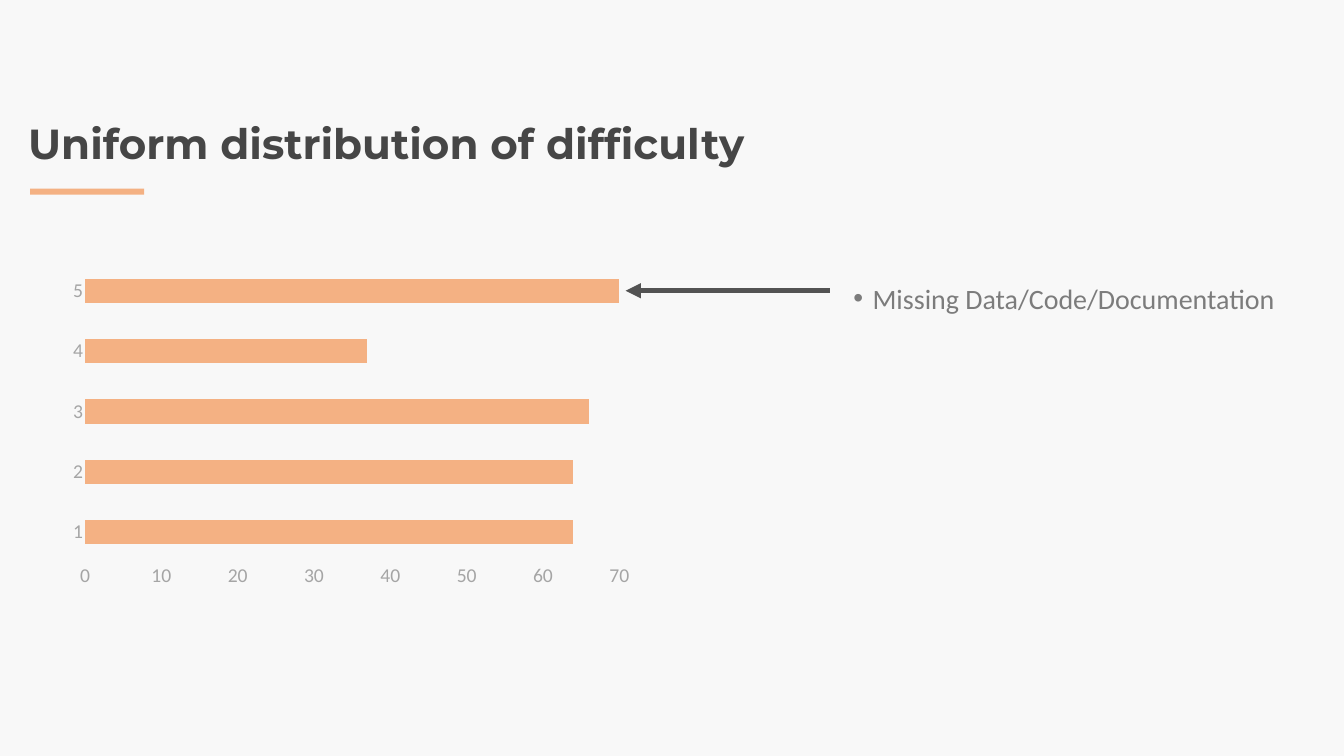
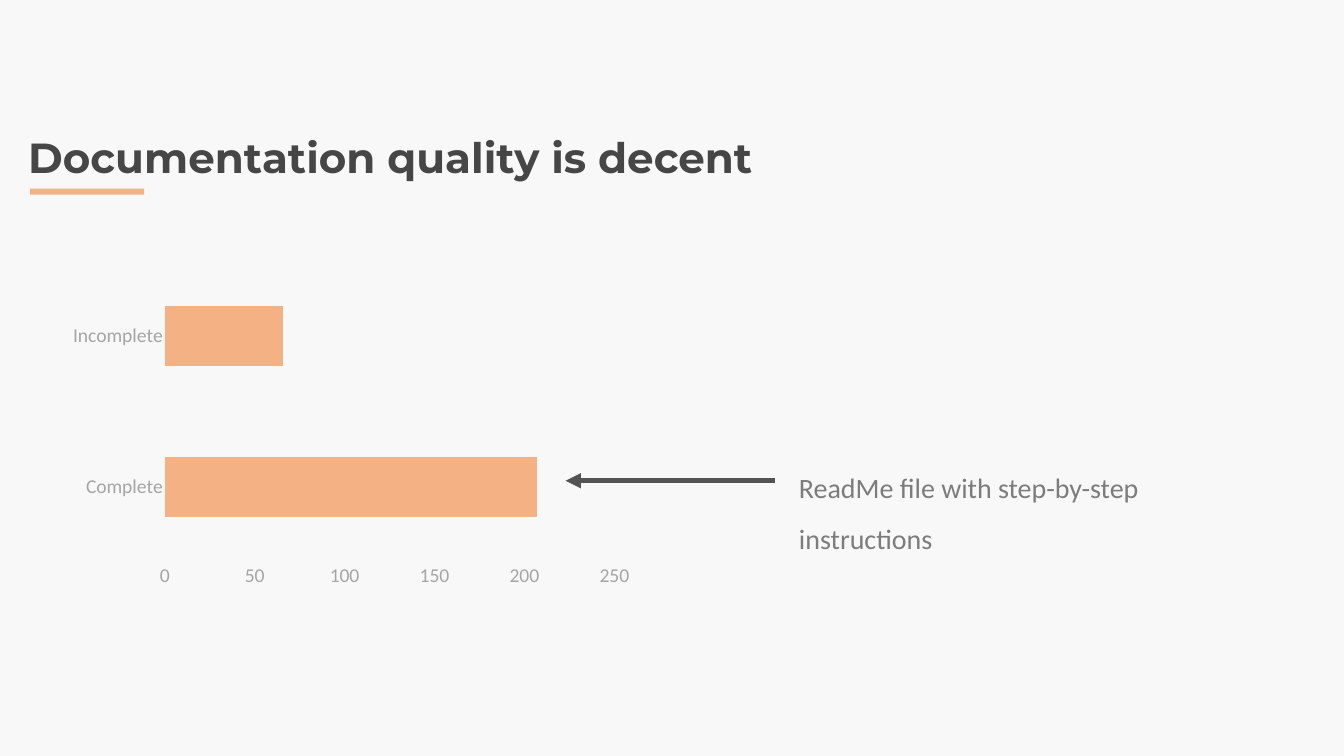
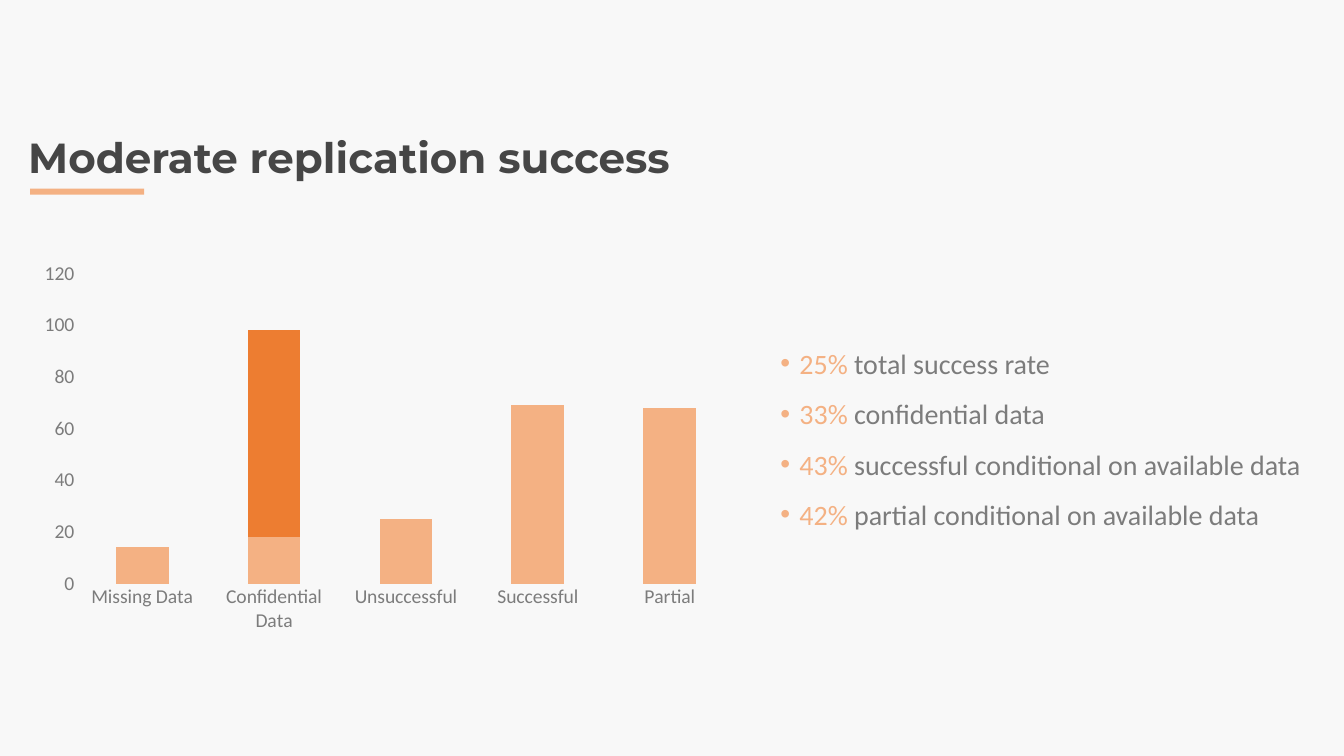
from lxml import etree
from pptx import Presentation
from pptx import util as u
from pptx.chart import data
from pptx.dml.color import RGBColor
from pptx.enum import chart as ch, shapes, text
from pptx.oxml import ns

PAPER = RGBColor(0xF8, 0xF8, 0xF8)
DARK = RGBColor(0x46, 0x46, 0x46)
ARROW = RGBColor(0x53, 0x53, 0x53)
GREY = RGBColor(0x7C, 0x7C, 0x7C)
PALE = RGBColor(0xA5, 0xA5, 0xA5)
PEACH = RGBColor(0xF4, 0xB1, 0x83)
ORANGE = RGBColor(0xED, 0x7D, 0x31)
HEAD, BODY = "Montserrat", "Calibri"
SCALE = 9144
BARS = ch.XL_CHART_TYPE.BAR_STACKED
COLS = ch.XL_CHART_TYPE.COLUMN_STACKED


def px(*sizes):
    return [u.Emu(size * SCALE) for size in sizes]


def child(parent, tag, **attrs):
    return etree.SubElement(parent, ns.qn(tag), attrs)


class Deck:
    def __init__(self):
        self.prs = Presentation()
        self.prs.slide_width, self.prs.slide_height = px(2666, 1500)
        self.slide = None

    def page(self, title, top=255):
        self.slide = self.prs.slides.add_slide(self.prs.slide_layouts[6])
        fill = self.slide.background.fill
        fill.solid()
        fill.fore_color.rgb = PAPER
        frame = self.box(46, top, 2236, 111)
        frame.text = title
        self.style(frame.paragraphs[0].runs[0], HEAD, 60, DARK, True)
        self.rule()

    def rule(self):
        bar = self.slide.shapes.add_shape(
            shapes.MSO_SHAPE.RECTANGLE, *px(60, 374, 226, 12))
        bar.shadow.inherit = False
        bar.fill.solid()
        bar.fill.fore_color.rgb = PEACH
        bar.line.fill.background()

    def box(self, x, y, w, h):
        frame = self.slide.shapes.add_textbox(*px(x, y, w, h)).text_frame
        frame.word_wrap = True
        frame.auto_size = text.MSO_AUTO_SIZE.SHAPE_TO_FIT_TEXT
        return frame

    def style(self, run, face, size, color, bold=False):
        font = run.font
        font.name, font.size, font.bold = face, u.Pt(size), bold
        font.color.rgb = color

    def note(self, x, y, w, h, rows, bullet=True):
        frame = self.box(x, y, w, h)
        for i, row in enumerate(rows):
            para = frame.add_paragraph() if i else frame.paragraphs[0]
            para.line_spacing = 1.5
            if bullet:
                self.bullet(para)
            for words, color in row:
                run = para.add_run()
                run.text = words
                self.style(run, BODY, 40, color)

    def bullet(self, para):
        para.alignment = text.PP_ALIGN.JUSTIFY
        props = para._p.get_or_add_pPr()
        props.set("marL", str(38 * SCALE))
        props.set("indent", str(-38 * SCALE))
        child(props, "a:buFont", typeface="Arial")
        child(props, "a:buChar", char="•")

    def arrow(self, start, end, y):
        line = self.slide.shapes.add_connector(
            shapes.MSO_CONNECTOR.STRAIGHT, *px(start, y, end, y))
        line.line.color.rgb = ARROW
        line.line.width = u.Pt(7.25)
        child(line.line._get_or_add_ln(), "a:tailEnd", type="triangle")
        child(line._element.spPr, "a:effectLst")

    def chart(self, kind, place, cats, rows, color, top=None):
        source = data.CategoryChartData()
        source.categories = cats
        for i, (values, _) in enumerate(rows, 1):
            source.add_series(f"Series {i}", values)
        chart = self.slide.shapes.add_chart(kind, *px(*place), source).chart
        chart.has_legend = chart.has_title = False
        chart.font.name, chart.font.size = BODY, u.Pt(10)
        chart.font.color.rgb = DARK
        for axis in (chart.category_axis, chart.value_axis):
            self.axis(axis, color)
        if top:
            chart.value_axis.maximum_scale = top
        plot = chart.plots[0]
        plot.gap_width, plot.overlap = 150, 100
        plot.vary_by_categories = False
        for series, (_, shade) in zip(plot.series, rows):
            series.format.fill.solid()
            series.format.fill.fore_color.rgb = shade

    def axis(self, axis, color):
        axis.has_major_gridlines = False
        axis.major_tick_mark = axis.minor_tick_mark = ch.XL_TICK_MARK.NONE
        axis.format.line.fill.background()
        font = axis.tick_labels.font
        font.name, font.size = BODY, u.Pt(28)
        font.color.rgb = color


def main():
    deck = Deck()
    left = (122, 504, 1149, 676)

    deck.page("Uniform distribution of difficulty", 229)
    deck.chart(BARS, left, ["1", "2", "3", "4", "5"],
               [((64, 64, 66, 37, 72), PEACH)], PALE, 70)
    deck.note(1683, 520, 898, 101, [[("Missing Data/Code/Documentation", GREY)]])
    deck.arrow(1646, 1241, 577)

    deck.page("Documentation quality is decent")
    deck.chart(BARS, left, ["Complete", "Incomplete"], [((207, 66), PEACH)], PALE)
    deck.note(1575, 896, 969, 101,
              [[("ReadMe file with step-by-step instructions", GREY)]], False)
    deck.arrow(1538, 1122, 954)

    deck.page("Moderate replication success")
    deck.chart(COLS, (60, 504, 1428, 767),
               ["Missing Data", "Confidential Data", "Unsuccessful",
                "Successful", "Partial"],
               [((14, 18, 25, 69, 68), PEACH),
                ((None, 80, None, None, None), ORANGE)], GREY)
    facts = [("25% ", "total success rate"),
             ("33% ", "confidential data"),
             ("43% ", "successful conditional on available data"),
             ("42% ", "partial conditional on available data")]
    deck.note(1538, 649, 1068, 505,
              [[(share, PEACH), (words, GREY)] for share, words in facts])

    deck.prs.save("out.pptx")


if __name__ == "__main__":
    main()
